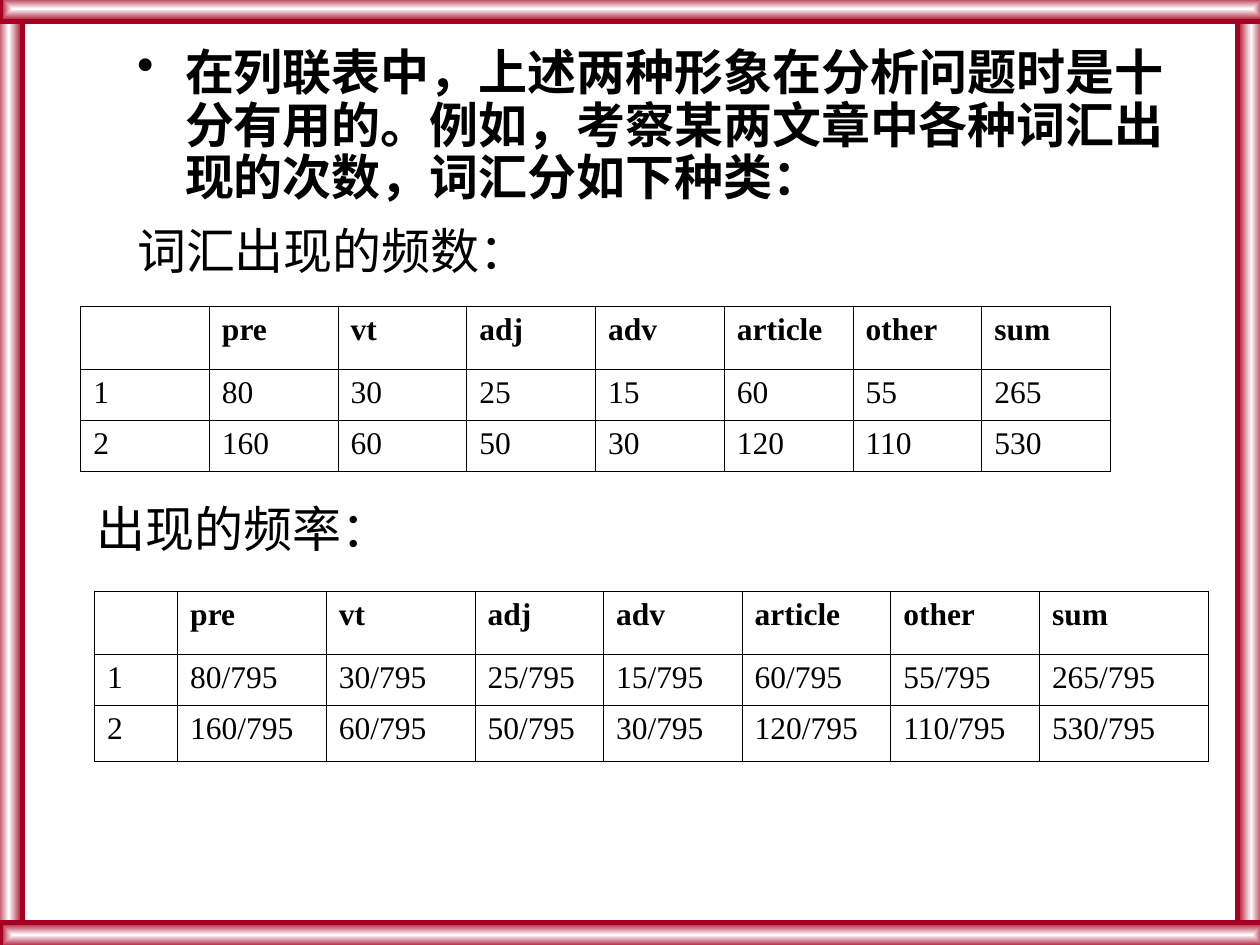
from lxml.etree import SubElement
from pptx import Presentation
from pptx.dml.color import RGBColor
from pptx.enum.shapes import MSO_SHAPE
from pptx.oxml import parse_xml
from pptx.oxml.ns import nsdecls, qn
from pptx.util import Inches, Pt

COLUMNS, ROWS = 100, 75  # grid laid over the whole slide
CELL = Inches(0.1)
INK, PAPER, CRIMSON = "000000", "FFFFFF", "A50021"
CHINESE, LATIN = "Noto Sans CJK SC", "Times New Roman"

INTRO = ("在列联表中，上述两种形象在分析问题时是十分有用的。"
         "例如，考察某两文章中各种词汇出现的次数，词汇分如下种类：")
HEADINGS = ["", "pre", "vt", "adj", "adv", "article", "other", "sum"]
COUNTS = [[80, 30, 25, 15, 60, 55], [160, 60, 50, 30, 120, 110]]


def grid(*lengths):
    return [round(length * CELL) for length in lengths]


def color(hex_code):
    return RGBColor.from_string(hex_code)


def write(paragraph, text, **formats):
    run = paragraph.add_run()
    run.text = text
    run.font.color.rgb = color(INK)
    for attribute, value in formats.items():
        setattr(run.font, attribute, value)
    SubElement(run._r.get_or_add_rPr(), qn("a:ea")).set("typeface", formats["name"])


def add_frame_bar(slide, box):
    """Bar of the border, shading from a white centre to crimson edges."""
    bar = slide.shapes.add_shape(MSO_SHAPE.RECTANGLE, *grid(*box))
    bar.shadow.inherit = False
    bar.line.color.rgb = color(CRIMSON)
    bar.line.width = Pt(3)
    bar.fill.gradient()
    shading = bar._element.spPr.find(qn("a:gradFill"))
    for stop, hex_code in zip(bar.fill.gradient_stops, (PAPER, CRIMSON)):
        stop.color.rgb = color(hex_code)
    shading.replace(shading.find(qn("a:lin")), parse_xml(
        f'<a:path {nsdecls("a")} path="rect">'
        '<a:fillToRect l="50000" t="50000" r="50000" b="50000"/></a:path>'))


def add_frame(slide, thickness=2.1):
    add_frame_bar(slide, (COLUMNS - 1.8, -0.3, 2.2, ROWS))
    add_frame_bar(slide, (-0.4, 0, 2.2, ROWS))
    for top in (-0.3, ROWS - 1.8):
        add_frame_bar(slide, (0, top, COLUMNS + 0.4, 2))


def add_statement(slide, box, text, bold=False):
    frame = slide.shapes.add_textbox(*grid(*box)).text_frame
    frame.word_wrap = True
    paragraph = frame.paragraphs[0]
    write(paragraph, text, name=CHINESE, size=Pt(28), bold=bold)
    return paragraph


def add_bulleted_statement(slide, box, text):
    paragraph = add_statement(slide, box, text, bold=True)
    paragraph.line_spacing = 0.9
    properties = paragraph._p.get_or_add_pPr()
    properties.set("marL", str(Inches(0.38)))
    properties.set("indent", str(-Inches(0.38)))
    bullet_color = SubElement(properties, qn("a:buClr"))
    SubElement(bullet_color, qn("a:srgbClr")).set("val", INK)
    SubElement(properties, qn("a:buChar")).set("char", "•")


def rule_cell(cell):
    """Thin border on all four sides."""
    properties = cell._tc.get_or_add_tcPr()
    for side in "LRTB":
        properties.append(parse_xml(
            f'<a:ln{side} {nsdecls("a")} w="{Pt(0.45)}"><a:solidFill>'
            f'<a:srgbClr val="{INK}"/></a:solidFill></a:ln{side}>'))


def add_word_table(slide, left, top, widths, heights, records):
    lines = [HEADINGS] + [[str(number), *values]
                          for number, values in enumerate(records, 1)]
    table = slide.shapes.add_table(
        len(lines), len(HEADINGS),
        *grid(left, top, sum(widths), sum(heights))).table
    table.first_row = table.horz_banding = False
    for column, width in zip(table.columns, grid(*widths)):
        column.width = width
    for row, height in zip(table.rows, grid(*heights)):
        row.height = height
    for r, line in enumerate(lines):
        for c, entry in enumerate(line):
            cell = table.cell(r, c)
            rule_cell(cell)
            cell.fill.solid()
            cell.fill.fore_color.rgb = color(PAPER)
            if entry:
                write(cell.text_frame.paragraphs[0], entry,
                      name=LATIN, size=Pt(18), bold=r == 0)


def main():
    presentation = Presentation()
    presentation.slide_width, presentation.slide_height = grid(COLUMNS, ROWS)
    slide = presentation.slides.add_slide(presentation.slide_layouts[6])
    slide.background.fill.solid()
    slide.background.fill.fore_color.rgb = color(PAPER)

    totals = [counts + [sum(counts)] for counts in COUNTS]
    grand_total = sum(counts[-1] for counts in totals)
    frequencies = [[str(n) for n in counts] for counts in totals]
    shares = [[f"{n}/{grand_total}" for n in counts] for counts in totals]

    add_frame(slide)
    add_bulleted_statement(slide, (9.9, 3.3, 83.5, 14.2), INTRO)
    add_statement(slide, (9.9, 17, 78, 5.7), "词汇出现的频数：")
    add_word_table(slide, 6.4, 24.3, [10.22] * len(HEADINGS),
                   [5, 4.05, 4.05], frequencies)
    add_statement(slide, (6.7, 39.1, 77.9, 5.7), "出现的频率：")
    add_word_table(slide, 7.5, 46.9,
                   [6.6, 11.8, 11.8, 10.2, 11, 11.8, 11.8, 13.4],
                   [5, 4.05, 4.5], shares)
    presentation.save("out.pptx")


if __name__ == "__main__":
    main()
